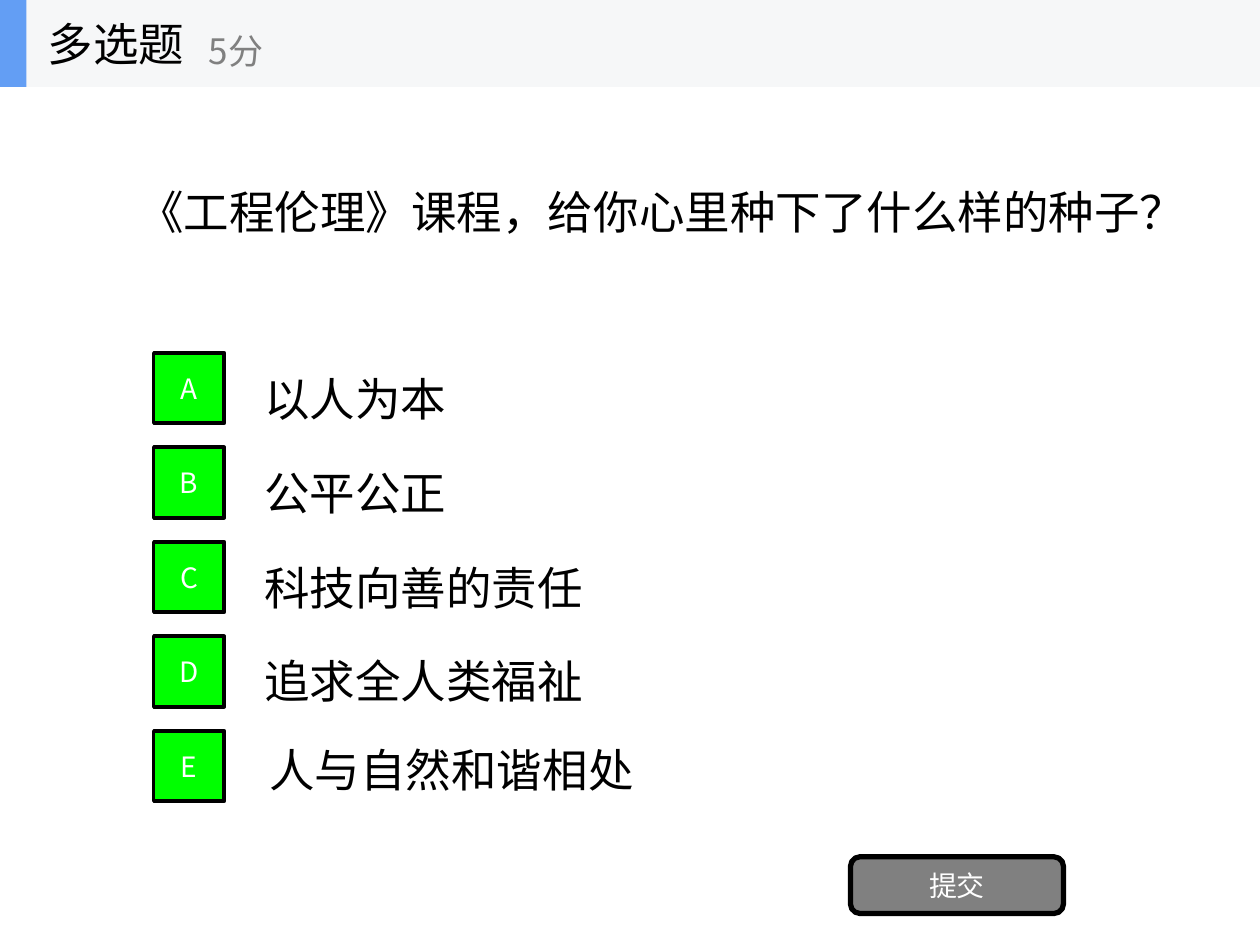
from dataclasses import dataclass

import pptx
import pptx.dml.color
import pptx.enum.shapes
import pptx.enum.text
import pptx.oxml.ns
import pptx.util
from lxml import etree

SHAPE = pptx.enum.shapes.MSO_SHAPE
ALIGN = pptx.enum.text.PP_ALIGN


@dataclass(frozen=True)
class Theme:
    font: str = "Noto Sans CJK SC"
    ink: str = "000000"
    paper: str = "FFFFFF"
    band: str = "F6F7F8"
    accent: str = "639EF4"
    option: str = "00FF00"
    muted: str = "808080"
    body_size: int = 26
    points_size: int = 20
    label_size: int = 16
    option_line: int = 2
    button_line: int = 3


@dataclass(frozen=True)
class Box:
    """A region in inches."""
    left: float
    top: float
    width: float
    height: float

    def emu(self):
        return [pptx.util.Inches(v) for v in (self.left, self.top, self.width, self.height)]


THEME = Theme()
PAGE = Box(0, 0, 10, 7.5)
ROW = 0.75  # one tenth of the slide's height


def rgb(value):
    return pptx.dml.color.RGBColor.from_string(value)


def write(frame, wording, size, color, align=ALIGN.LEFT):
    """Put one middle-anchored line of text into a frame."""
    frame.word_wrap = True
    frame.vertical_anchor = pptx.enum.text.MSO_ANCHOR.MIDDLE
    line = frame.paragraphs[0]
    line.text = wording
    line.alignment = align
    line.font.name = THEME.font
    line.font.size = pptx.util.Pt(size)
    line.font.color.rgb = rgb(color)
    # East Asian glyphs take their typeface from a:ea, which follows a:latin
    latin = line.font._element.find(pptx.oxml.ns.qn("a:latin"))
    east_asian = etree.Element(pptx.oxml.ns.qn("a:ea"), typeface=THEME.font)
    latin.addnext(east_asian)


def add_text(shapes, box, wording, size=THEME.body_size, color=THEME.ink):
    write(shapes.add_textbox(*box.emu()).text_frame, wording, size, color)


def add_block(shapes, box, fill, kind=SHAPE.RECTANGLE, outline=0, label=""):
    block = shapes.add_shape(kind, *box.emu())
    block.shadow.inherit = False
    block.fill.solid()
    block.fill.fore_color.rgb = rgb(fill)
    if outline:
        block.line.color.rgb = rgb(THEME.ink)
        block.line.width = pptx.util.Pt(outline)
    else:
        block.line.fill.background()
    if label:
        write(block.text_frame, label, THEME.label_size, THEME.paper, ALIGN.CENTER)


def add_header(slide, box, kind, points):
    header = slide.shapes.add_group_shape().shapes
    # Band with its accent bar
    add_block(header, box, THEME.band)
    add_block(header, Box(box.left, box.top, 0.021 * box.width, box.height), THEME.accent)
    # Question type and score
    add_text(header, Box(box.left + 0.028 * box.width, box.top, 2.08, box.height), kind)
    add_text(header, Box(box.left + 0.156 * box.width, box.top + 0.12, 2.5, 0.56),
             points, THEME.points_size, THEME.muted)


def add_options(slide, box, options):
    """One row per option: a lettered square, then the answer."""
    square = 0.56
    for row, (letter, answer, shift_x, shift_y) in enumerate(options):
        top = box.top + row * ROW
        add_block(slide.shapes, Box(box.left, top, square, square),
                  THEME.option, outline=THEME.option_line, label=letter)
        add_text(slide.shapes, Box(box.left + 0.78 + shift_x, top + shift_y,
                                   box.width - 0.78, 0.7), answer)


def add_submit(slide, box, label):
    add_block(slide.shapes, box, THEME.muted, SHAPE.ROUNDED_RECTANGLE,
              THEME.button_line, label)


def main():
    deck = pptx.Presentation()
    deck.slide_width, deck.slide_height = PAGE.emu()[2:]
    slide = deck.slides.add_slide(deck.slide_layouts[6])

    # Question
    add_text(slide.shapes, Box(0.1 * PAGE.width, 0.78, 8.73, 1.79),
             "《工程伦理》课程，给你心里种下了什么样的种子？")
    # Answers; the last one sits slightly right and higher
    add_options(slide, Box(1.22, 2.8, 7.78, 5 * ROW), [
        ("A", "以人为本", 0, 0.01),
        ("B", "公平公正", 0, 0.01),
        ("C", "科技向善的责任", 0, 0.01),
        ("D", "追求全人类福祉", 0, 0),
        ("E", "人与自然和谐相处", 0.04, -0.04),
    ])
    add_submit(slide, Box(6.75, 6.8, 1.69, 0.45), "提交")
    add_header(slide, Box(0, 0, PAGE.width, 0.69), "多选题", "5分")

    deck.save("out.pptx")


if __name__ == "__main__":
    main()
